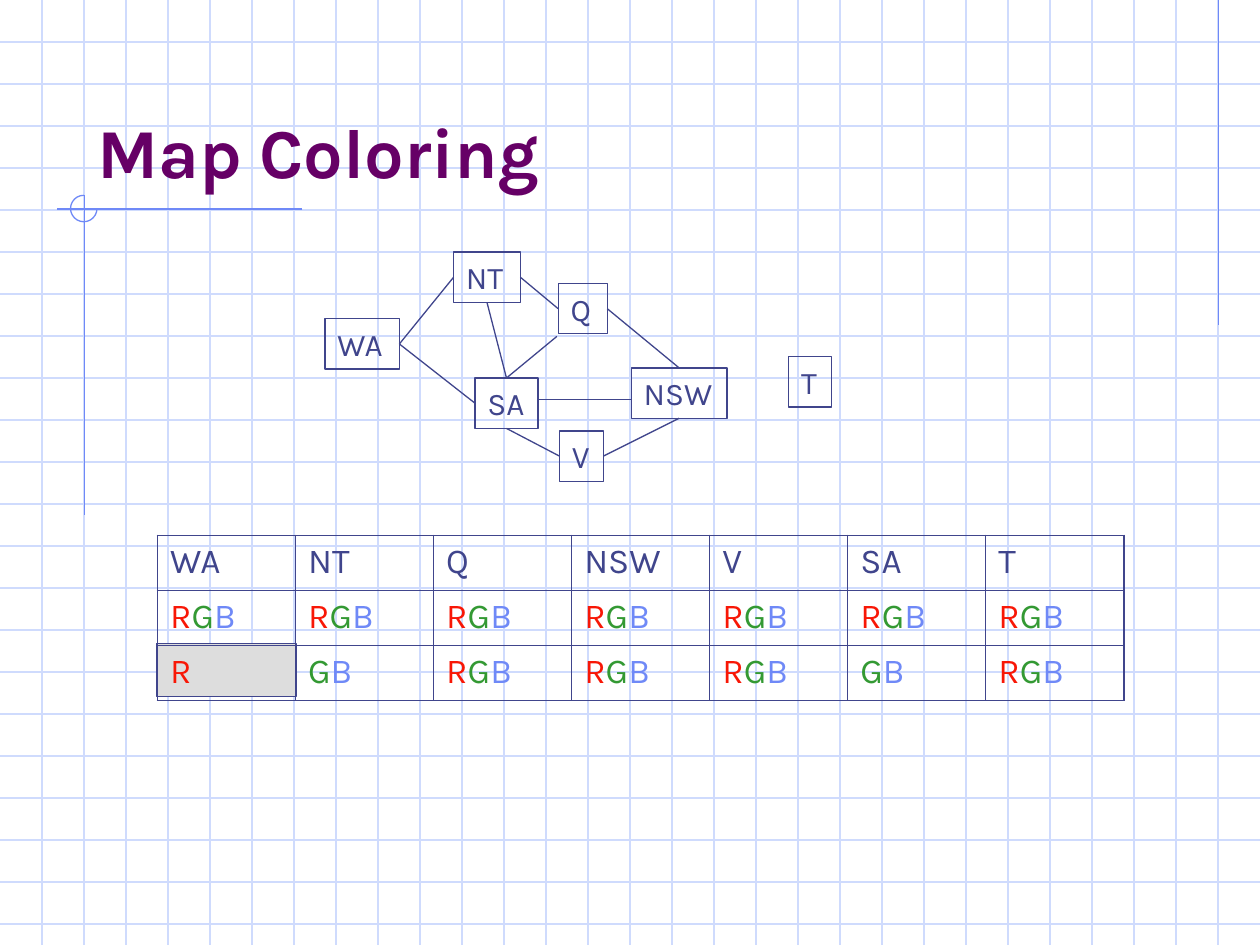
from lxml.etree import SubElement
from pptx import Presentation
from pptx.dml.color import RGBColor
from pptx.enum.shapes import MSO_CONNECTOR, MSO_SHAPE
from pptx.enum.text import MSO_ANCHOR, MSO_AUTO_SIZE, PP_ALIGN
from pptx.oxml.ns import qn
from pptx.util import Inches, Pt

GRID = RGBColor(0xCF, 0xDB, 0xFD)
ACCENT = RGBColor(0x6F, 0x89, 0xF7)
INK = RGBColor(0x40, 0x45, 0x8C)
PURPLE = RGBColor(0x66, 0x00, 0x66)
GREY = RGBColor(0xDD, 0xDD, 0xDD)
DOMAIN = {
    "R": RGBColor(0xF8, 0x17, 0x06),
    "G": RGBColor(0x33, 0x99, 0x33),
    "B": ACCENT,
}
FONT = "Karla"
TOP, LEFT, BOTTOM, RIGHT = range(4)

REGIONS = {
    "T": (6.26, 2.83, 0.34),
    "WA": (2.58, 2.53, 0.59),
    "NT": (3.6, 2, 0.53),
    "SA": (3.77, 3, 0.5),
    "Q": (4.43, 2.25, 0.39),
    "NSW": (5.01, 2.92, 0.76),
    "V": (4.44, 3.42, 0.35),
}
BORDERS = [
    ("WA", RIGHT, "NT", LEFT),
    ("WA", RIGHT, "SA", LEFT),
    ("NT", BOTTOM, "SA", TOP),
    ("SA", BOTTOM, "V", LEFT),
    ("Q", RIGHT, "NSW", TOP),
    ("NT", RIGHT, "Q", LEFT),
    ("V", RIGHT, "NSW", BOTTOM),
]
DOMAINS = [
    ["WA", "NT", "Q", "NSW", "V", "SA", "T"],
    ["RGB"] * 7,
    ["R", "GB", "RGB", "RGB", "RGB", "GB", "RGB"],
]


class SlideBuilder:
    def __init__(self, page):
        self.page = page
        self.shapes = page.shapes

    def style_font(self, font, size, color, bold=False):
        font.name = FONT
        font.size = Pt(size)
        font.color.rgb = color
        font.bold = bold

    def line(self, start, end, color=INK):
        points = [Inches(value) for value in (*start, *end)]
        connector = self.shapes.add_connector(MSO_CONNECTOR.STRAIGHT, *points)
        connector.line.color.rgb = color
        connector.line.width = Pt(0.75)
        SubElement(connector._element.spPr, qn("a:effectLst"))
        return connector

    def shape(self, kind, left, top, width, height, color=INK, fill=None):
        box = self.shapes.add_shape(
            kind, Inches(left), Inches(top), Inches(width), Inches(height)
        )
        box.shadow.inherit = False
        box.line.color.rgb = color
        box.line.width = Pt(0.75)
        if fill is None:
            box.fill.background()
        else:
            box.fill.solid()
            box.fill.fore_color.rgb = fill
        return box

    def title(self, text):
        title = self.shapes.title
        title.left, title.top = Inches(0.67), Inches(0.33)
        title.width, title.height = Inches(8.5), Inches(1.25)
        frame = title.text_frame
        frame.text = text
        frame.vertical_anchor = MSO_ANCHOR.BOTTOM
        para = frame.paragraphs[0]
        para.alignment = PP_ALIGN.LEFT
        self.style_font(para.font, 40, PURPLE, bold=True)
        self.shapes._spTree.append(title._element)

    def region(self, name, left, top, width):
        box = self.shape(MSO_SHAPE.RECTANGLE, left, top, width, 0.4)
        frame = box.text_frame
        frame.text = name
        frame.word_wrap = False
        frame.auto_size = MSO_AUTO_SIZE.SHAPE_TO_FIT_TEXT
        frame.vertical_anchor = MSO_ANCHOR.TOP
        para = frame.paragraphs[0]
        para.alignment = PP_ALIGN.LEFT
        self.style_font(para.font, 18, INK)
        return box

    def join(self, first, first_side, second, second_side):
        connector = self.line((0, 0), (1, 1))
        connector.begin_connect(first, first_side)
        connector.end_connect(second, second_side)

    def cell_borders(self, cell, outer):
        properties = cell._tc.get_or_add_tcPr()
        for side in "LRTB":
            width = Pt(1.08) if side in outer else Pt(0.45)
            border = SubElement(properties, qn(f"a:ln{side}"), w=str(int(width)))
            fill = SubElement(border, qn("a:solidFill"))
            SubElement(fill, qn("a:srgbClr"), val=str(INK))

    def table(self, rows, left, top, width, height):
        row_count, column_count = len(rows), len(rows[0])
        table = self.shapes.add_table(
            row_count, column_count,
            Inches(left), Inches(top), Inches(width), Inches(height),
        ).table
        table.first_row = False
        table.horz_banding = False
        for row, texts in enumerate(rows):
            for column, text in enumerate(texts):
                cell = table.cell(row, column)
                edges = {
                    "L": column == 0,
                    "R": column == column_count - 1,
                    "T": row == 0,
                    "B": row == row_count - 1,
                }
                self.cell_borders(cell, [side for side in edges if edges[side]])
                cell.fill.background()
                para = cell.text_frame.paragraphs[0]
                if row == 0:
                    para.text = text
                    self.style_font(para.font, 20, INK)
                    continue
                for letter in text:
                    span = para.add_run()
                    span.text = letter
                    self.style_font(span.font, 20, DOMAIN[letter])

    def backdrop(self):
        for step in range(1, 23):
            self.line((0, step / 3), (10, step / 3), GRID)
        for step in range(1, 30):
            self.line((step / 3, 0), (step / 3, 7.5), GRID)
        self.line((9.67, 0), (9.67, 2.58), ACCENT)
        self.line((2.4, 1.66), (0.45, 1.66), ACCENT)
        self.line((0.67, 1.55), (0.67, 4.09), ACCENT)
        arc = self.shape(MSO_SHAPE.ARC, 0.56, 1.55, 0.21, 0.21, ACCENT)
        arc.adjustments[0] = 0
        arc.adjustments[1] = 162


def main():
    deck = Presentation()
    deck.slide_width, deck.slide_height = Inches(10), Inches(7.5)
    builder = SlideBuilder(deck.slides.add_slide(deck.slide_layouts[5]))
    builder.backdrop()
    builder.shape(MSO_SHAPE.RECTANGLE, 1.24, 5.11, 1.11, 0.42, fill=GREY)
    builder.title("Map Coloring")
    builder.table(DOMAINS, 1.25, 4.25, 7.67, 1.31)
    boxes = {name: builder.region(name, *place) for name, place in REGIONS.items()}
    for first, first_side, second, second_side in BORDERS:
        builder.join(boxes[first], first_side, boxes[second], second_side)
    builder.line((4.42, 2.67), (4, 3)).end_connect(boxes["SA"], TOP)
    builder.line((4.27, 3.17), (5.01, 3.17))
    deck.save("out.pptx")


if __name__ == "__main__":
    main()
